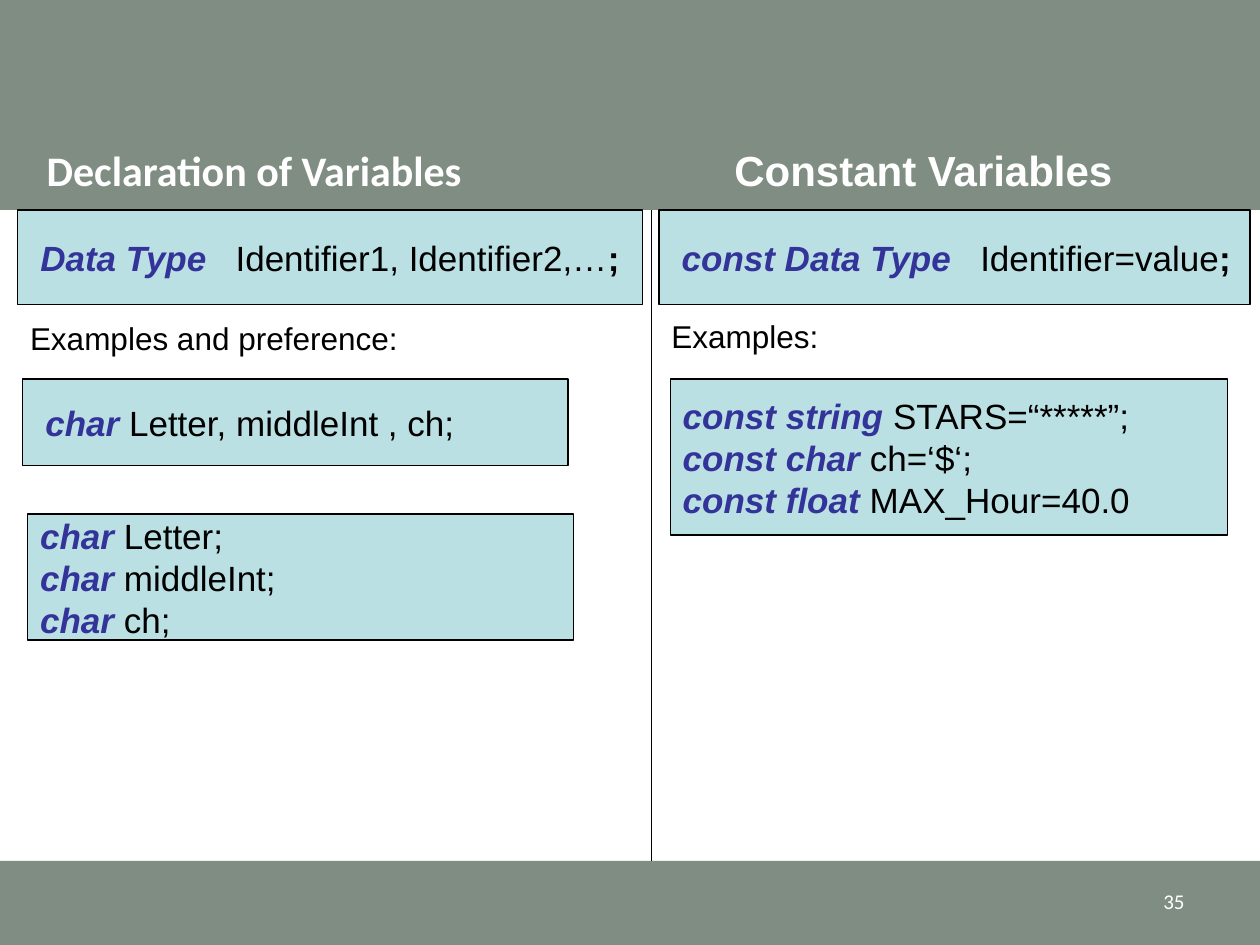
from dataclasses import dataclass
from lxml import etree
from pptx import Presentation
from pptx import util as u
from pptx.dml.color import RGBColor
from pptx.enum import shapes, text
from pptx.oxml import ns


@dataclass(frozen=True)
class Theme:
    band: str = "808D83"
    box: str = "BBE0E3"
    keyword: str = "333399"
    ink: str = "000000"
    light: str = "FFFFFF"
    heading_font: str = "Calibri"
    body_font: str = "Arial"
    heading: int = 24
    code: int = 20
    label: int = 18
    number: int = 12
    hairline: float = 0.75


THEME = Theme()
WIDTH, HEIGHT = u.Inches(10), u.Inches(7.5)

# Positions are percentages of the slide: left, top, width, height.
BODY_TOP, BODY_BOTTOM = 22.22, 91.11
DIVIDER = 51.7
HEADING_TOP, HEADING_HEIGHT = 14.4, 7.2
LABEL_TOP, EXAMPLE_TOP = 32.2, 40.1
SYNTAX_HEIGHT = 10
LEFT, RIGHT = 1.4, 52.3
INDENT, INSET = 0.18, 0.1

BANDS = [(0, 0, 100, BODY_TOP), (0, BODY_BOTTOM, 100, 100 - BODY_BOTTOM)]
TITLE = ("Declaration of Variables", (2.7, HEADING_TOP, 47.5, HEADING_HEIGHT))
SECOND_TITLE = ("Constant Variables", (57.3, HEADING_TOP, 41.1, HEADING_HEIGHT))
LABELS = [
    ("Examples and preference:", (LEFT, LABEL_TOP, 53.3, 7.2)),
    ("Examples:", (RIGHT, LABEL_TOP, 16.7, 6.6)),
]
SLIDE_NUMBER = ("35", (71.7, 92.67, 23.3, 5.33))
SYNTAX = [
    ("Data Type", "\tIdentifier1, Identifier2,…", 1.55, (LEFT, BODY_TOP, 49.6, SYNTAX_HEIGHT)),
    ("const Data Type", "\tIdentifier=value", 2.37, (RIGHT, BODY_TOP, 46.9, SYNTAX_HEIGHT)),
]
EXAMPLES = [
    ([("char", " Letter, middleInt , ch;")], INDENT, (1.8, EXAMPLE_TOP, 43.3, 9.2)),
    ([("char", " Letter;"), ("char", " middleInt;"), ("char", " ch;")],
     INSET, (2.2, 54.4, 43.3, 13.33)),
    ([("const string", " STARS=“*****”;"), ("const char", " ch=‘$‘;"),
      ("const float", " MAX_Hour=40.0")], INSET, (53.2, EXAMPLE_TOP, 44.2, 16.53)),
]


def place(area):
    left, top, width, height = area
    return (round(WIDTH * left / 100), round(HEIGHT * top / 100),
            round(WIDTH * width / 100), round(HEIGHT * height / 100))


def add_run(paragraph, content, size, color=THEME.ink, font=THEME.body_font,
            bold=False, italic=False):
    run = paragraph.add_run()
    run.text = content
    run.font.size = u.Pt(size)
    run.font.name = font
    run.font.bold = bold
    run.font.italic = italic
    run.font.color.rgb = RGBColor.from_string(color)


def fill_text(shape, content, align=text.PP_ALIGN.LEFT, **style):
    frame = shape.text_frame
    frame.word_wrap = True
    frame.auto_size = text.MSO_AUTO_SIZE.NONE
    frame.vertical_anchor = text.MSO_ANCHOR.MIDDLE
    paragraph = frame.paragraphs[0]
    paragraph.alignment = align
    add_run(paragraph, content, **style)


def add_text(slide, content, area, **style):
    fill_text(slide.shapes.add_textbox(*place(area)), content, **style)


def add_rectangle(slide, area, fill, line=None):
    shape = slide.shapes.add_shape(shapes.MSO_SHAPE.RECTANGLE, *place(area))
    shape.shadow.inherit = False
    shape.fill.solid()
    shape.fill.fore_color.rgb = RGBColor.from_string(fill)
    if line:
        shape.line.color.rgb = RGBColor.from_string(line)
        shape.line.width = u.Pt(THEME.hairline)
    else:
        shape.line.fill.background()
    return shape


def add_tab(paragraph, position):
    properties = paragraph._p.get_or_add_pPr()
    tabs = etree.SubElement(properties, ns.qn("a:tabLst"))
    etree.SubElement(tabs, ns.qn("a:tab"), pos=str(u.Inches(position)), algn="l")


def add_code_box(slide, lines, area, indent, tab=None, ending=""):
    frame = add_rectangle(slide, area, THEME.box, THEME.ink).text_frame
    frame.word_wrap = True
    frame.vertical_anchor = text.MSO_ANCHOR.MIDDLE
    frame.margin_left = u.Inches(indent)
    for index, (keyword, rest) in enumerate(lines):
        paragraph = frame.add_paragraph() if index else frame.paragraphs[0]
        paragraph.alignment = text.PP_ALIGN.LEFT
        if tab:
            add_tab(paragraph, tab)
        add_run(paragraph, keyword, THEME.code, THEME.keyword, bold=True, italic=True)
        add_run(paragraph, rest, THEME.code)
        if ending:
            add_run(paragraph, ending, THEME.code, bold=True)


def add_divider(slide):
    left, top, _, height = place((DIVIDER, BODY_TOP, 0, BODY_BOTTOM - BODY_TOP))
    line = slide.shapes.add_connector(
        shapes.MSO_CONNECTOR.STRAIGHT, left, top, left, top + height)
    line.line.color.rgb = RGBColor.from_string(THEME.ink)
    line.line.width = u.Pt(THEME.hairline)
    etree.SubElement(line._element.spPr, ns.qn("a:effectLst"))


def main():
    presentation = Presentation()
    presentation.slide_width, presentation.slide_height = WIDTH, HEIGHT
    slide = presentation.slides.add_slide(presentation.slide_layouts[5])

    title = slide.shapes.title
    for area in BANDS:
        band = add_rectangle(slide, area, THEME.band)
        title.element.addprevious(band.element)
    content, area = TITLE
    title.left, title.top, title.width, title.height = place(area)
    heading = dict(size=THEME.heading, color=THEME.light, bold=True)
    fill_text(title, content, font=THEME.heading_font, **heading)
    add_text(slide, *SECOND_TITLE, **heading)

    add_divider(slide)
    for content, area in LABELS:
        add_text(slide, content, area, size=THEME.label)
    add_text(slide, *SLIDE_NUMBER, align=text.PP_ALIGN.RIGHT, size=THEME.number,
             color=THEME.light, font=THEME.heading_font)

    for keyword, rest, tab, area in SYNTAX:
        add_code_box(slide, [(keyword, rest)], area, INDENT, tab=tab, ending=";")
    for lines, indent, area in EXAMPLES:
        add_code_box(slide, lines, area, indent)

    presentation.save("out.pptx")


if __name__ == "__main__":
    main()
